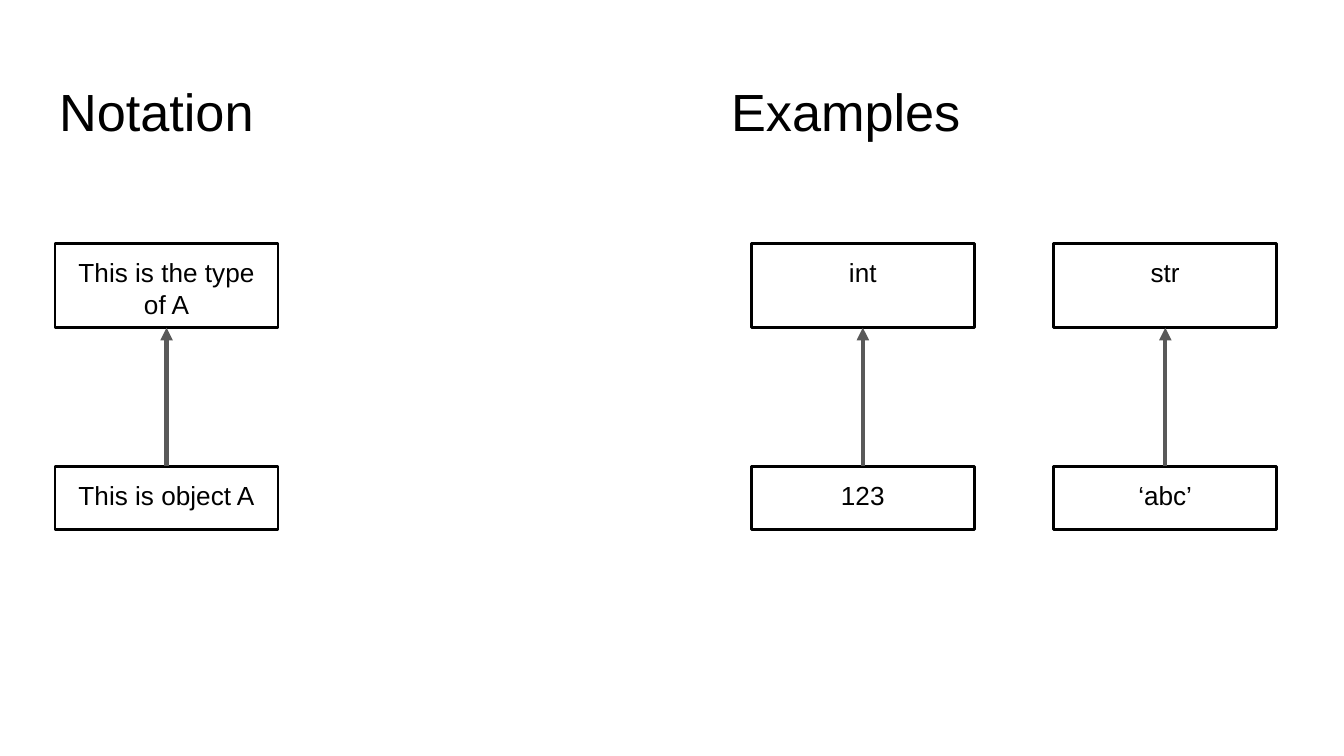
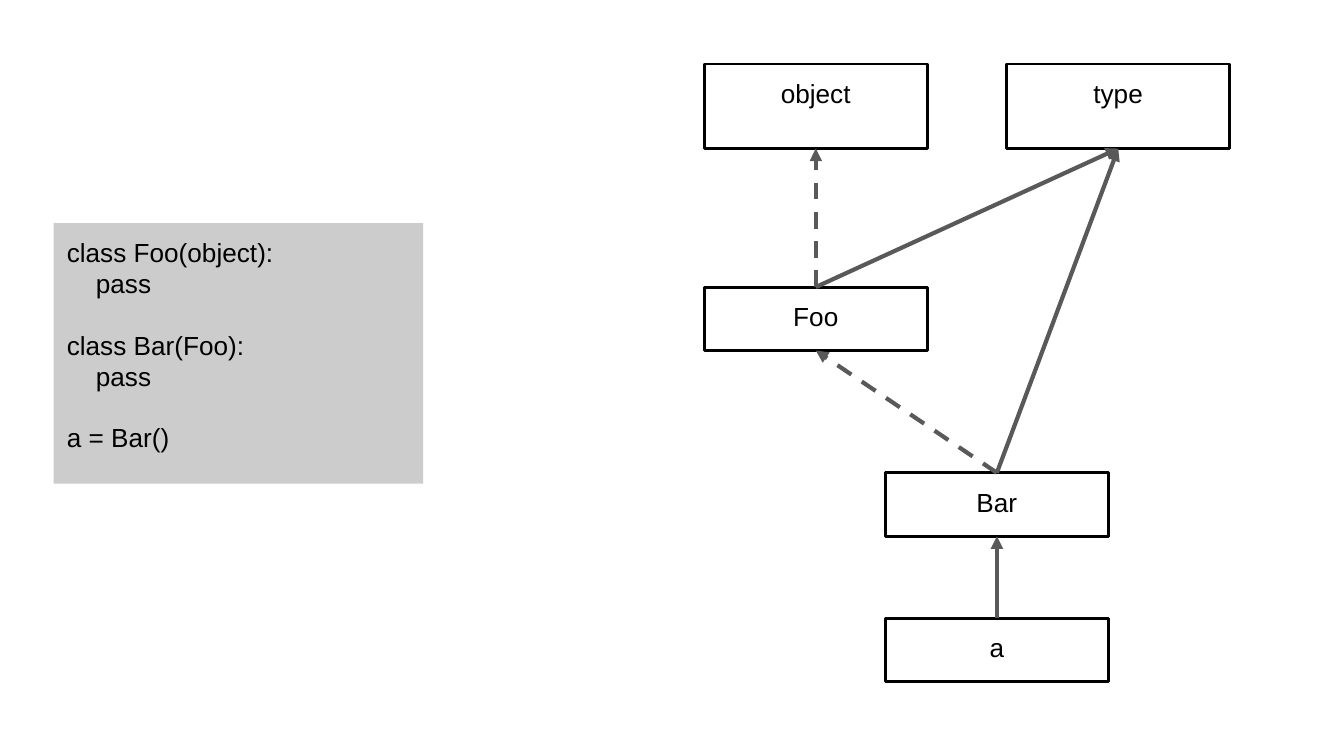
"""Build two slides that show how Python objects, types and classes relate."""
from dataclasses import dataclass

import pptx
import pptx.dml.color
import pptx.enum.dml
import pptx.enum.shapes
import pptx.enum.text
import pptx.oxml.ns
import pptx.util
from lxml import etree

Pt = pptx.util.Pt
RGB = pptx.dml.color.RGBColor
ALIGN = pptx.enum.text.PP_ALIGN
RECT = pptx.enum.shapes.MSO_SHAPE.RECTANGLE
TITLE_LAYOUT, BLANK_LAYOUT = 0, 6
TOP_SITE, BOTTOM_SITE = 0, 2


@dataclass(frozen=True)
class Theme:
    """Colours, type sizes and box measures in points."""
    font: str = "Arial"
    ink: RGB = RGB(0, 0, 0)
    arrow: RGB = RGB(0x59, 0x59, 0x59)
    code_fill: RGB = RGB(0xCC, 0xCC, 0xCC)
    title_size: float = 28
    text_size: float = 14
    outline: float = 1.5
    arrow_width: float = 2.25
    inset: float = 7.2
    box_width: float = 119.5
    type_height: float = 45.3
    object_height: float = 34
    column_step: float = 162
    row_step: float = 119.5
    code_indent: float = 15.6
    code_gap: float = 16


THEME = Theme()


def prepare(tf):
    """Give a text frame equal insets, wrapping and a top anchor."""
    tf.word_wrap = True
    tf.auto_size = pptx.enum.text.MSO_AUTO_SIZE.NONE
    tf.vertical_anchor = pptx.enum.text.MSO_ANCHOR.TOP
    tf.margin_left = tf.margin_right = Pt(THEME.inset)
    tf.margin_top = tf.margin_bottom = Pt(THEME.inset)


def write(p, text, size, align=ALIGN.LEFT, before=0):
    """Add one styled run to a paragraph."""
    p.alignment = align
    p.space_before = Pt(before)
    r = p.add_run()
    r.text = text
    r.font.name = THEME.font
    r.font.size = Pt(size)
    r.font.color.rgb = THEME.ink


def add_heading(sp, text, left):
    """Place a heading in a placeholder."""
    sp.left, sp.top, sp.width, sp.height = Pt(left), Pt(35), Pt(335.5), Pt(45)
    prepare(sp.text_frame)
    write(sp.text_frame.paragraphs[0], text, THEME.title_size)


def add_rect(s, left, top, width, height):
    """Add a plain rectangle ready for text."""
    sp = s.shapes.add_shape(RECT, Pt(left), Pt(top), Pt(width), Pt(height))
    sp.shadow.inherit = False
    prepare(sp.text_frame)
    return sp


def add_box(s, text, left, top, height=THEME.object_height):
    """Add an outlined box with a centred label."""
    sp = add_rect(s, left, top, THEME.box_width, height)
    sp.fill.background()
    sp.line.color.rgb = THEME.ink
    sp.line.width = Pt(THEME.outline)
    write(sp.text_frame.paragraphs[0], text, THEME.text_size, ALIGN.CENTER)
    return sp


def add_arrow(s, lower, upper, dashed=False):
    """Join the top of one box to the bottom of another with an arrow."""
    straight = pptx.enum.shapes.MSO_CONNECTOR.STRAIGHT
    line = s.shapes.add_connector(straight, 0, 0, 0, 0)
    line.begin_connect(lower, TOP_SITE)
    line.end_connect(upper, BOTTOM_SITE)
    line.line.color.rgb = THEME.arrow
    line.line.width = Pt(THEME.arrow_width)
    if dashed:
        line.line.dash_style = pptx.enum.dml.MSO_LINE.DASH
    qn = pptx.oxml.ns.qn
    props = line.element.spPr
    etree.SubElement(props.find(qn("a:ln")), qn("a:tailEnd"), type="triangle")
    etree.SubElement(props, qn("a:effectLst"))


def add_typed_object(s, obj, kind, left, top):
    """Add an object box with an arrow up to its type box."""
    lower = add_box(s, obj, left, top + THEME.row_step)
    upper = add_box(s, kind, left, top, THEME.type_height)
    add_arrow(s, lower, upper)


def add_code(s, blocks, left, top, width, height):
    """Add a shaded listing of blocks, with the lines after each first indented."""
    sp = add_rect(s, left, top, width, height)
    sp.fill.solid()
    sp.fill.fore_color.rgb = THEME.code_fill
    sp.line.fill.background()
    tf = sp.text_frame
    for b, block in enumerate(blocks):
        for n, text in enumerate(block):
            p = tf.add_paragraph() if b or n else tf.paragraphs[0]
            write(p, text, THEME.text_size, before=THEME.code_gap if b and not n else 0)
            if n:
                p._p.get_or_add_pPr().set("marL", str(Pt(THEME.code_indent)))


def build_notation(prs):
    """Show the notation and two examples."""
    s = prs.slides.add_slide(prs.slide_layouts[TITLE_LAYOUT])
    add_heading(s.shapes.title, "Notation", 24.5)
    add_heading(s.placeholders[1], "Examples", 384.5)
    top = 130.3
    add_typed_object(s, "This is object A", "This is the type of A", 29.5, top)
    for i, (obj, kind) in enumerate([("123", "int"), ("‘abc’", "str")]):
        add_typed_object(s, obj, kind, 402.5 + i * THEME.column_step, top)


def build_classes(prs):
    """Show a short listing and the graph of its classes."""
    s = prs.slides.add_slide(prs.slide_layouts[BLANK_LAYOUT])
    blocks = [("class Foo(object):", "pass"), ("class Bar(Foo):", "pass"), ("a = Bar()",)]
    add_code(s, blocks, 28.7, 119.5, 198, 139.7)
    left, top, bar_left = 377.3, 34.3, 474.3
    foo = add_box(s, "Foo", left, top + THEME.row_step)
    base = add_box(s, "object", left, top, THEME.type_height)
    meta = add_box(s, "type", left + THEME.column_step, top, THEME.type_height)
    bar = add_box(s, "Bar", bar_left, 253.3)
    a = add_box(s, "a", bar_left, 331.2)
    for lower, upper, inherits in [
        (foo, base, True),
        (foo, meta, False),
        (bar, foo, True),
        (bar, meta, False),
        (a, bar, False),
    ]:
        add_arrow(s, lower, upper, inherits)


def main():
    """Build and save the presentation."""
    prs = pptx.Presentation()
    prs.slide_width, prs.slide_height = Pt(720), Pt(405)
    build_notation(prs)
    build_classes(prs)
    prs.save("out.pptx")


if __name__ == "__main__":
    main()
